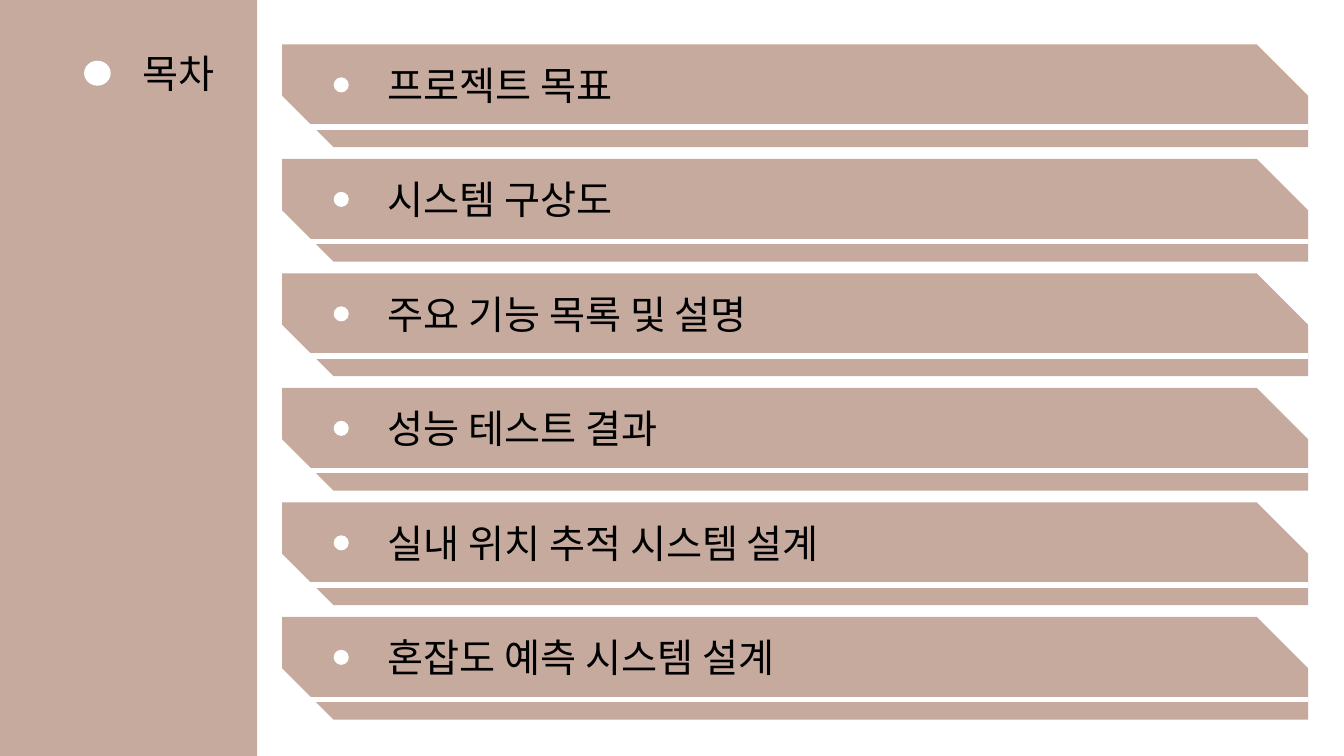
from dataclasses import dataclass

from lxml import etree
from pptx import Presentation
from pptx.dml.color import RGBColor
from pptx.enum.shapes import MSO_SHAPE
from pptx.enum.text import MSO_AUTO_SIZE
from pptx.oxml.ns import qn
from pptx.util import Cm, Pt

RECTANGLE = MSO_SHAPE.RECTANGLE
OVAL = MSO_SHAPE.OVAL
SNIPPED = MSO_SHAPE.SNIP_2_DIAG_RECTANGLE
FIT_SHAPE = MSO_AUTO_SIZE.SHAPE_TO_FIT_TEXT


@dataclass(frozen=True)
class Theme:
    accent: RGBColor = RGBColor(0xC6, 0xAA, 0x9E)
    white: RGBColor = RGBColor(0xFF, 0xFF, 0xFF)
    text: RGBColor = RGBColor(0x00, 0x00, 0x00)
    font: str = "Noto Sans CJK KR"
    size: Pt = Pt(28)
    stripe_line: Pt = Pt(1)


THEME = Theme()
SLIDE_WIDTH, SLIDE_HEIGHT = 33.87, 19.05
TEXT_HEIGHT = 1.45
SHORT, MEDIUM, LONG = 9.53, 20.57, 22.23
CARD_LEFT, CARD_TOP = 7.11, 1.12
CARD_WIDTH, CARD_HEIGHT = 25.86, 2.59
CARD_PITCH = 2.885
TOPICS = [
    ("프로젝트 목표", SHORT),
    ("시스템 구상도", SHORT),
    ("주요 기능 목록 및 설명", MEDIUM),
    ("성능 테스트 결과", SHORT),
    ("실내 위치 추적 시스템 설계", LONG),
    ("혼잡도 예측 시스템 설계", LONG),
]


def add_filled(shapes, kind, left, top, width, height, color):
    shape = shapes.add_shape(kind, Cm(left), Cm(top), Cm(width), Cm(height))
    shape.shadow.inherit = False
    shape.fill.solid()
    shape.fill.fore_color.rgb = color
    shape.line.fill.background()
    return shape


def add_label(slide, text, left, top, width):
    box = slide.shapes.add_textbox(Cm(left), Cm(top), Cm(width), Cm(TEXT_HEIGHT))
    frame = box.text_frame
    frame.word_wrap = True
    frame.auto_size = FIT_SHAPE
    run = frame.paragraphs[0].add_run()
    run.text = text
    run.font.name = THEME.font
    run.font.size = THEME.size
    run.font.color.rgb = THEME.text
    east_asian = etree.SubElement(run.font._element, qn("a:ea"))
    east_asian.set("typeface", THEME.font)


def add_sidebar(slide, left, top, width, height):
    add_filled(slide.shapes, RECTANGLE, left, top, width, height, THEME.accent)
    add_filled(slide.shapes, OVAL, left + 2.12, top + 1.53, 0.67, 0.63, THEME.white)
    add_label(slide, "목차", left + 3.33, top + 1.12, SHORT)


def add_topic(slide, text, text_width, left, top, width, height):
    shapes = slide.shapes.add_group_shape().shapes
    card = add_filled(shapes, SNIPPED, left, top, width, height, THEME.accent)
    card.adjustments[0] = 0
    card.adjustments[1] = 0.5
    stripe = add_filled(
        shapes, RECTANGLE, left + 0.64, top + 2.03, width - 0.66, 0.1, THEME.white
    )
    stripe.line.color.rgb = THEME.white
    stripe.line.width = THEME.stripe_line
    add_filled(shapes, OVAL, left + 1.3, top + 0.83, 0.38, 0.38, THEME.white)
    add_label(slide, text, left + 2.41, top + 0.3, text_width)


def main():
    presentation = Presentation()
    presentation.slide_width = Cm(SLIDE_WIDTH)
    presentation.slide_height = Cm(SLIDE_HEIGHT)
    slide = presentation.slides.add_slide(presentation.slide_layouts[6])
    add_sidebar(slide, 0, 0, 6.48, SLIDE_HEIGHT)
    for index, (text, text_width) in enumerate(TOPICS):
        top = CARD_TOP + index * CARD_PITCH
        add_topic(slide, text, text_width, CARD_LEFT, top, CARD_WIDTH, CARD_HEIGHT)
    presentation.save("out.pptx")


if __name__ == "__main__":
    main()
